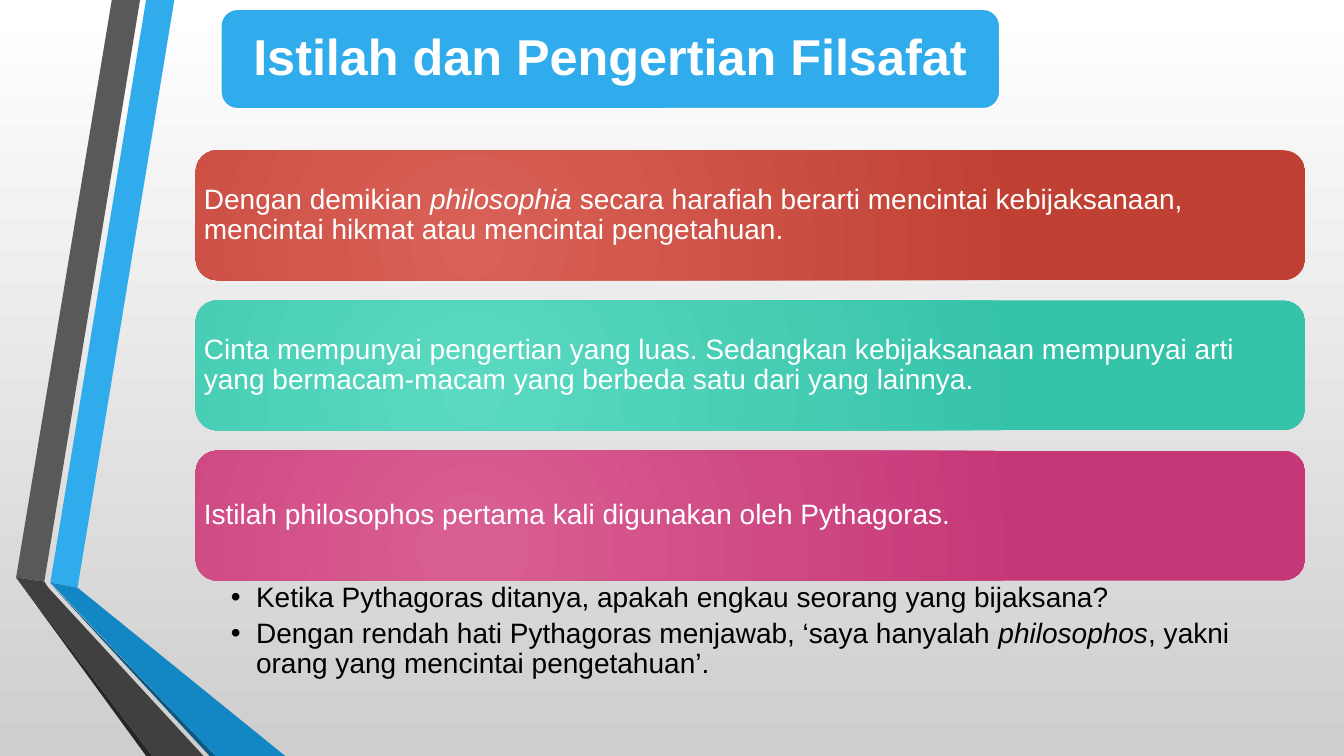
from lxml.etree import SubElement
from pptx import Presentation
from pptx.dml.color import RGBColor
from pptx.enum.shapes import MSO_SHAPE
from pptx.enum.text import MSO_ANCHOR, MSO_AUTO_SIZE, PP_ALIGN
from pptx.oxml.ns import qn
from pptx.util import Pt

PX = 9144  # EMU per px, 100 px to the inch

THEME = {
    "font": "Arial",
    "title_size": Pt(36),
    "text_size": Pt(20),
    "white": RGBColor.from_string("FFFFFF"),
    "black": RGBColor.from_string("000000"),
    "accent": RGBColor.from_string("30ACEC"),
    "background": ("FFFFFF", "CECECE"),
    "red": ("D96157", "C04033"),
    "teal": ("5BD9C1", "35C3AA"),
    "pink": ("D95F92", "C63777"),
}

# Fill and outline of each ribbon piece, from back to front
RIBBONS = [
    ("30ACEC", [(50, 578), (77, 583), (173, 0), (145, 0)]),
    ("595959", [(139, 0), (111, 0), (16, 573), (44, 577)]),
    ("262626", [(16, 573), (145, 750), (151, 750)]),
    ("0C5A82", [(50, 579), (208, 750), (214, 750)]),
    ("1287C3", [(50, 578), (214, 750), (283, 750), (77, 583)]),
    ("404040", [(202, 750), (48, 583), (44, 577), (16, 573), (151, 750)]),
]

# Runs are (text, italic)
CARDS = [
    ("red", [
        ("Dengan demikian ", False),
        ("philosophia ", True),
        ("secara harafiah berarti mencintai kebijaksanaan, mencintai hikmat "
         "atau mencintai pengetahuan.", False),
    ]),
    ("teal", [
        ("Cinta mempunyai pengertian yang luas. Sedangkan kebijaksanaan mempunyai "
         "arti yang bermacam-macam yang berbeda satu dari yang lainnya.", False),
    ]),
    ("pink", [("Istilah philosophos pertama kali digunakan oleh Pythagoras.", False)]),
]
BULLETS = [
    [("Ketika Pythagoras ditanya, apakah engkau seorang yang bijaksana?", False)],
    [
        ("Dengan rendah hati Pythagoras menjawab, ‘saya hanyalah ", False),
        ("philosophos", True),
        (", yakni orang yang mencintai pengetahuan’.", False),
    ],
]

CARD_LEFT, CARD_TOP, CARD_WIDTH, CARD_HEIGHT, CARD_PITCH = 194, 149, 1101, 129, 149
TITLE_BOX = (219, 9, 773, 99)


def set_gradient(fill, colors):
    fill.gradient()
    for stop, color in zip(fill.gradient_stops, colors):
        stop.color.rgb = RGBColor.from_string(color)


def write_text(shape, paragraphs, insets, frame_format, paragraph_format, font_format):
    """Fill a shape with paragraphs of (text, italic) runs; insets are (sides..., px)."""
    frame = shape.text_frame
    sides = ("margin_left", "margin_top", "margin_right", "margin_bottom")
    margins = {side: inset * PX for side, inset in zip(sides, insets)}
    for name, value in (margins | frame_format).items():
        setattr(frame, name, value)
    for index, runs in enumerate(paragraphs):
        paragraph = frame.paragraphs[0] if index == 0 else frame.add_paragraph()
        for name, value in paragraph_format.items():
            setattr(paragraph, name, value)
        for text, italic in runs:
            run = paragraph.add_run()
            run.text = text
            run.font.color.rgb = font_format["color"]
            values = {"name": THEME["font"], "size": font_format["size"],
                      "bold": font_format["bold"], "italic": italic}
            for name, value in values.items():
                setattr(run.font, name, value)


presentation = Presentation()
presentation.slide_width = 12192000
presentation.slide_height = 750 * PX
slide = presentation.slides.add_slide(presentation.slide_layouts[1])
shapes = slide.shapes

set_gradient(slide.background.fill, THEME["background"])
slide.background.fill.gradient_angle = 270

for color, points in RIBBONS:
    builder = shapes.build_freeform(*points[0], scale=PX)
    builder.add_line_segments(points[1:], close=True)
    ribbon = builder.convert_to_shape()
    ribbon.shadow.inherit = False
    ribbon.fill.solid()
    ribbon.fill.fore_color.rgb = RGBColor.from_string(color)
    ribbon.line.fill.background()

middle_frame = {"word_wrap": True, "auto_size": MSO_AUTO_SIZE.NONE,
                "vertical_anchor": MSO_ANCHOR.MIDDLE}
top_frame = middle_frame | {"vertical_anchor": MSO_ANCHOR.TOP}
left_paragraph = {"alignment": PP_ALIGN.LEFT, "line_spacing": 0.9,
                  "space_before": Pt(0), "space_after": Pt(4)}
center_paragraph = left_paragraph | {"alignment": PP_ALIGN.CENTER}
card_font = {"size": THEME["text_size"], "color": THEME["white"], "bold": False}
bullet_font = card_font | {"color": THEME["black"]}
title_font = {"size": THEME["title_size"], "color": THEME["white"], "bold": True}

for row, (color_name, runs) in enumerate(CARDS):
    card = shapes.add_shape(
        MSO_SHAPE.ROUNDED_RECTANGLE, CARD_LEFT * PX, (CARD_TOP + row * CARD_PITCH) * PX,
        CARD_WIDTH * PX, CARD_HEIGHT * PX)
    card.shadow.inherit = False
    card.line.fill.background()
    set_gradient(card.fill, THEME[color_name])
    gradient = card.element.spPr.find(qn("a:gradFill"))
    gradient.remove(gradient.find(qn("a:lin")))
    circle = SubElement(gradient, qn("a:path"), {"path": "circle"})
    SubElement(circle, qn("a:fillToRect"),
               {"l": "50000", "t": "100000", "r": "100000", "b": "50000"})
    write_text(card, [runs], (2, 2, 2, 2), middle_frame, left_paragraph, card_font)

body = slide.placeholders[1]
body.left, body.top = CARD_LEFT * PX, 576 * PX
body.width, body.height = CARD_WIDTH * PX, 114 * PX
write_text(body, BULLETS, (35, 3, 16, 3), top_frame, left_paragraph, bullet_font)
for paragraph in body.text_frame.paragraphs:
    properties = paragraph._p.get_or_add_pPr()
    properties.set("marL", str(25 * PX))
    properties.set("indent", str(-25 * PX))
    SubElement(properties, qn("a:buFont"), {"typeface": THEME["font"]})
    SubElement(properties, qn("a:buChar"), {"char": "•"})

banner = shapes.add_shape(MSO_SHAPE.ROUNDED_RECTANGLE, *(value * PX for value in TITLE_BOX))
banner.shadow.inherit = False
banner.fill.solid()
banner.fill.fore_color.rgb = THEME["accent"]
banner.line.color.rgb = THEME["white"]
banner.line.width = Pt(1.25)

title = shapes.title
title.left, title.top, title.width, title.height = (value * PX for value in TITLE_BOX)
write_text(title, [[("Istilah dan Pengertian Filsafat", False)]], (15, 15, 15, 15),
           middle_frame, center_paragraph, title_font)
shapes.element.append(title.element)  # bring the title in front of its banner

presentation.save("out.pptx")
